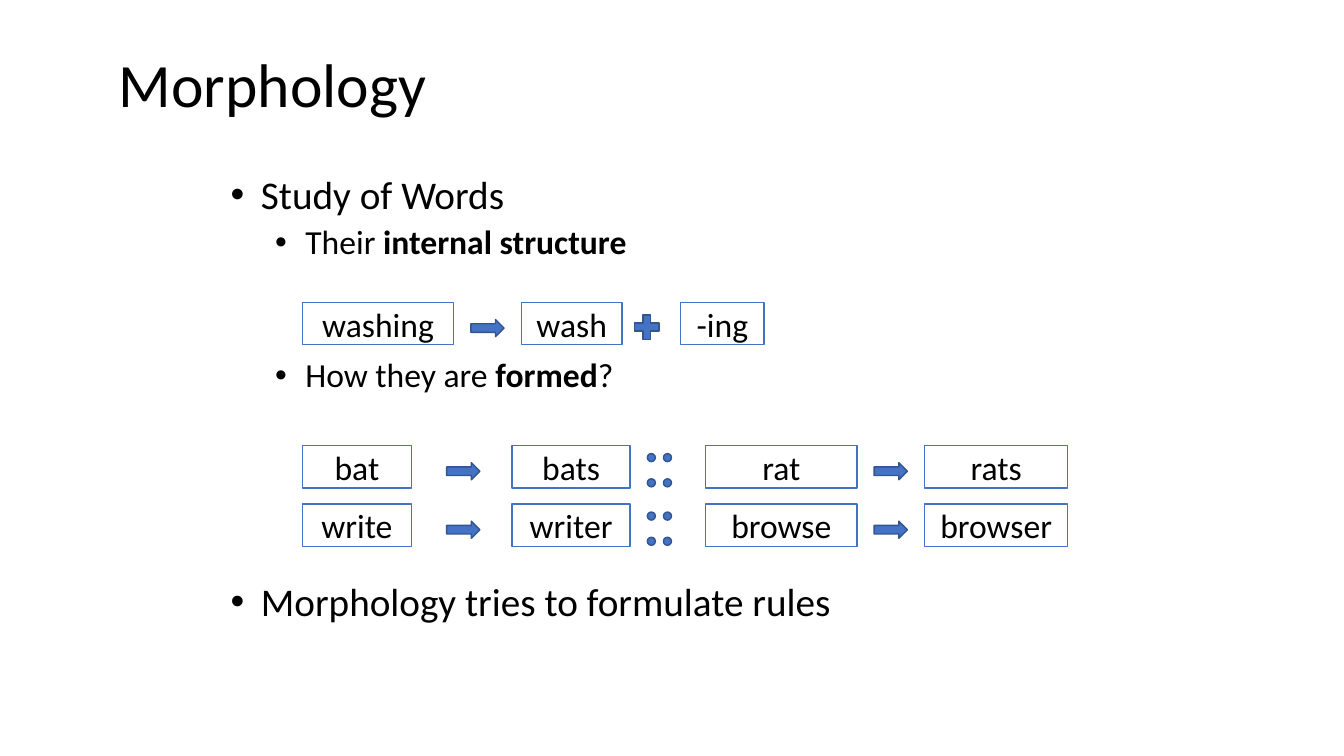
from lxml import etree
from pptx import Presentation
from pptx.dml.color import RGBColor
from pptx.enum.shapes import MSO_SHAPE
from pptx.enum.text import MSO_ANCHOR, PP_ALIGN
from pptx.oxml.ns import qn
from pptx.util import Inches, Pt

BLACK = RGBColor(0x00, 0x00, 0x00)
WHITE = RGBColor(0xFF, 0xFF, 0xFF)
BLUE = RGBColor(0x44, 0x72, 0xC4)
DARK_BLUE = RGBColor(0x32, 0x54, 0x91)
RECTANGLE = MSO_SHAPE.RECTANGLE
ARROW = MSO_SHAPE.RIGHT_ARROW
PLUS = MSO_SHAPE.MATH_PLUS
DOT = MSO_SHAPE.OVAL
CENTER = PP_ALIGN.CENTER
LEFT = PP_ALIGN.LEFT
MIDDLE = MSO_ANCHOR.MIDDLE
TOP = MSO_ANCHOR.TOP


def write_text(para, text, size=24, bold=False, align=LEFT, spacing=None):
    para.alignment = align
    if spacing:
        para.line_spacing = spacing
    span = para.add_run()
    span.text = text
    span.font.name = "Calibri"
    span.font.size = Pt(size)
    span.font.bold = bold
    span.font.color.rgb = BLACK


def add_bullet(para, indent):
    properties = para._p.get_or_add_pPr()
    properties.set("marL", str(Inches(indent)))
    properties.set("indent", str(Inches(-0.3)))
    etree.SubElement(properties, qn("a:buFont")).set("typeface", "Arial")
    etree.SubElement(properties, qn("a:buChar")).set("char", "•")


class MorphologySlide:
    def __init__(self, page):
        self.shapes = page.shapes

    def frame(self, left, top, width, height, anchor=TOP):
        box = self.shapes.add_textbox(
            Inches(left), Inches(top), Inches(width), Inches(height))
        box.text_frame.word_wrap = True
        box.text_frame.vertical_anchor = anchor
        return box.text_frame

    def title(self, text):
        frame = self.frame(1.08, 0.24, 10.09, 1.25, MIDDLE)
        write_text(frame.paragraphs[0], text, size=44, spacing=0.9)

    def bullets(self, items):
        frame = self.frame(2.19, 1.69, 8.98, 5.01)
        for index, (indent, size, before, parts) in enumerate(items):
            para = frame.add_paragraph() if index else frame.paragraphs[0]
            add_bullet(para, indent)
            para.space_before = Pt(before)
            for text, bold in parts:
                write_text(para, text, size=size, bold=bold, spacing=0.9)

    def shape(self, kind, left, top, width, height, fill=BLUE, line=DARK_BLUE):
        shape = self.shapes.add_shape(
            kind, Inches(left), Inches(top), Inches(width), Inches(height))
        shape.shadow.inherit = False
        shape.fill.solid()
        shape.fill.fore_color.rgb = fill
        shape.line.color.rgb = line
        shape.line.width = Pt(1)
        return shape

    def word(self, text, left, top, width):
        box = self.shape(RECTANGLE, left, top, width, 0.42, WHITE, BLUE)
        box.text_frame.word_wrap = True
        box.text_frame.vertical_anchor = MIDDLE
        write_text(box.text_frame.paragraphs[0], text, align=CENTER)

    def arrow(self, left, row_top):
        self.shape(ARROW, left, row_top + 0.17, 0.33, 0.17)

    def four_dots(self, row_top):
        for left in (6.42, 6.58):
            for offset in (0.08, 0.33):
                self.shape(DOT, left, row_top + offset, 0.08, 0.08)

    def analogy(self, top, words):
        columns = ((3, 1.08), (5.08, 1.17), (7, 1.5), (9.17, 1.42))
        for text, (left, width) in zip(words, columns):
            self.word(text, left, top, width)
        for left in (4.43, 8.67):
            self.arrow(left, top)
        self.four_dots(top)


def main():
    deck = Presentation()
    deck.slide_width = Inches(13.33)
    deck.slide_height = Inches(7.5)
    slide = MorphologySlide(deck.slides.add_slide(deck.slide_layouts[6]))

    slide.bullets((
        (0.3, 28, 0, [("Study of Words", False)]),
        (0.74, 24, 5.8, [("Their ", False), ("internal structure", True)]),
        (0.74, 24, 69, [("How they are ", False), ("formed", True), ("?", False)]),
        (0.3, 28, 134, [("Morphology tries to formulate rules", False)]),
    ))
    slide.title("Morphology")

    for text, left, width in (("washing", 3, 1.5), ("wash", 5.17, 1), ("-ing", 6.75, 0.83)):
        slide.word(text, left, 3, width)
    slide.arrow(4.67, 3)
    slide.shape(PLUS, 6.25, 3.08, 0.33, 0.33)

    slide.analogy(4.42, ("bat", "bats", "rat", "rats"))
    slide.analogy(5, ("write", "writer", "browse", "browser"))

    deck.save("out.pptx")


if __name__ == "__main__":
    main()
